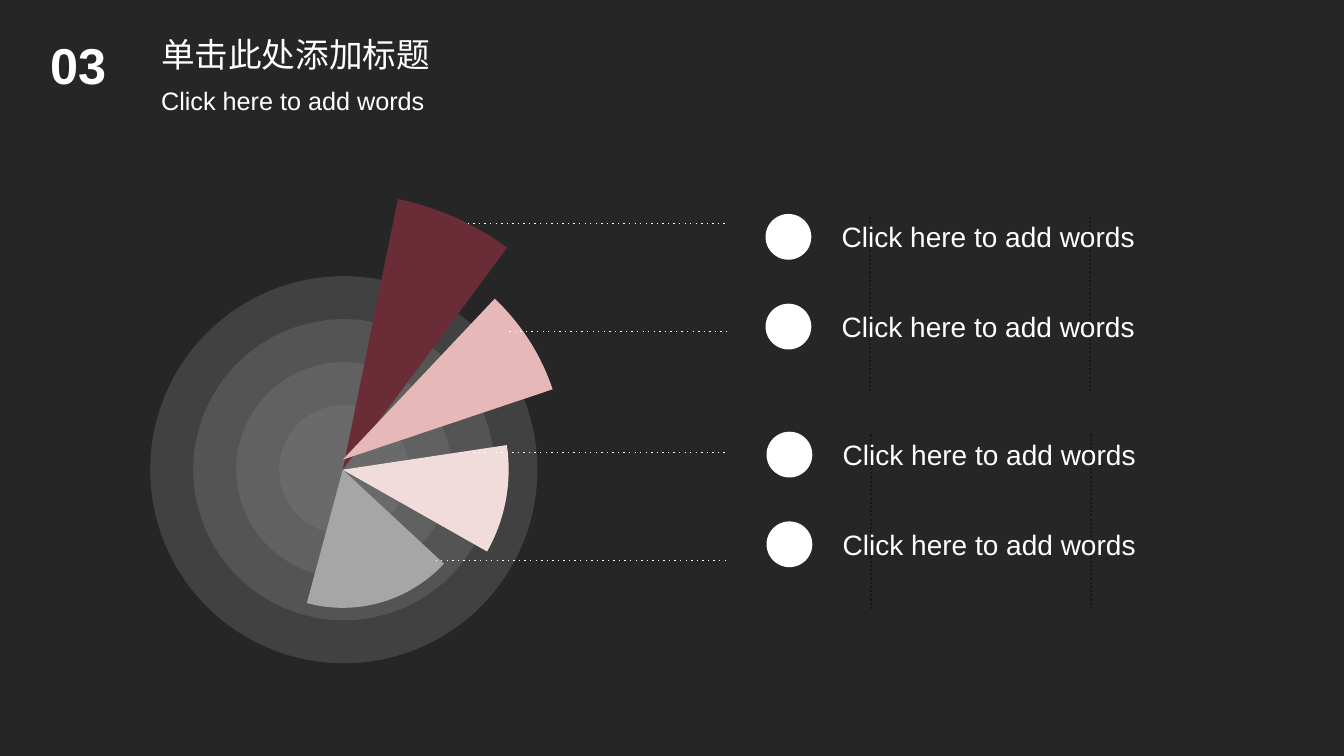
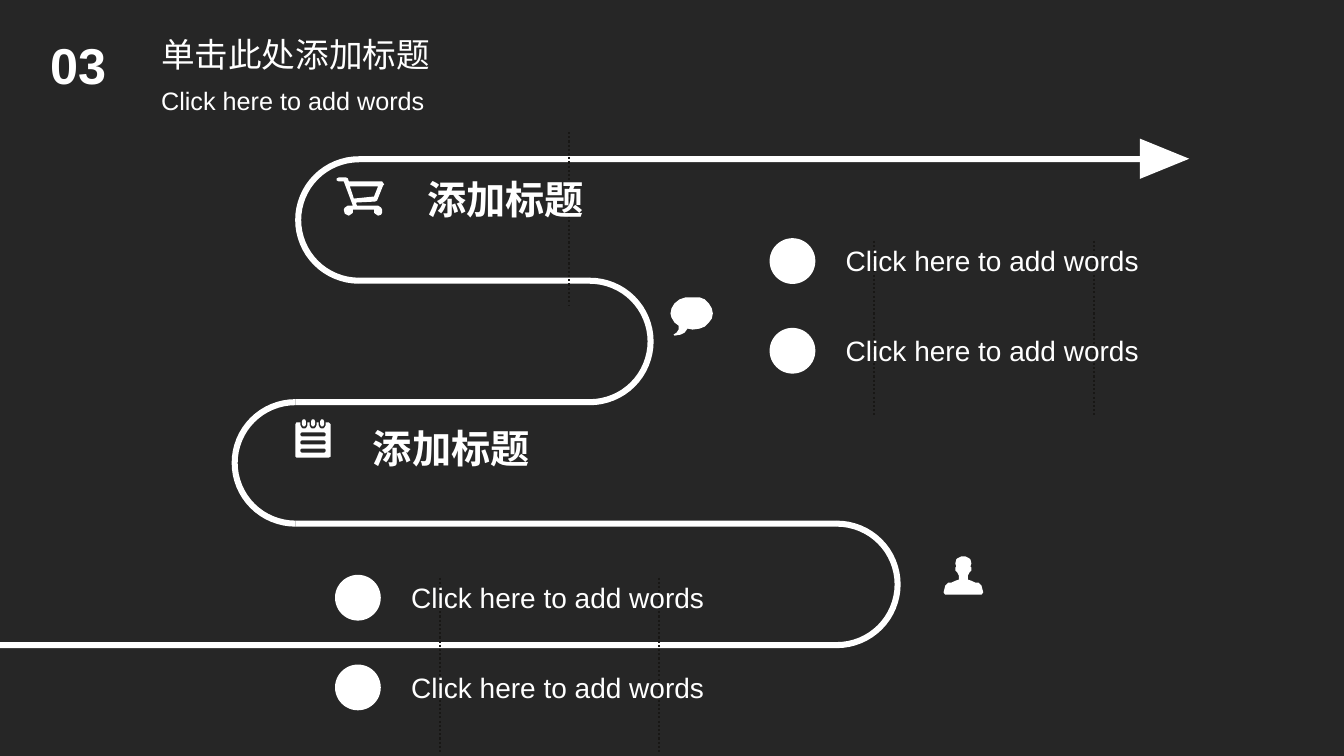
from dataclasses import dataclass
from itertools import pairwise
from math import cos, pi, sin

from pptx import Presentation
from pptx.dml.color import RGBColor
from pptx.enum.dml import MSO_LINE
from pptx.enum.shapes import MSO_CONNECTOR, MSO_SHAPE
from pptx.enum.text import MSO_AUTO_SIZE as AutoSize, PP_ALIGN as Align
from pptx.oxml.ns import qn
from pptx.oxml.xmlchemy import OxmlElement
from pptx.util import Inches, Pt


@dataclass(frozen=True)
class Theme:
    font: str = "Arial"
    back: str = "262626"
    white: str = "FFFFFF"
    guide: str = "181715"
    ring: str = "808080"
    wine: str = "6A2D38"
    rose: str = "E6B9B8"
    blush: str = "F2DCDB"
    silver: str = "A6A6A6"
    number: int = 36
    heading: int = 28
    title: int = 24
    item: int = 20
    subtitle: int = 18


THEME = Theme()
WORDS = "Click here to add words"


class Builder:
    """Holds the theme, the deck and the current page."""

    def __init__(self, theme):
        self.theme = theme
        self.deck = Presentation()
        self.deck.slide_width, self.deck.slide_height = Inches(13.33), Inches(7.5)
        self.page = None

    def new_page(self, number, title, subtitle):
        theme = self.theme
        self.page = self.deck.slides.add_slide(self.deck.slide_layouts[6])
        fill = self.page.background.fill
        fill.solid()
        fill.fore_color.rgb = RGBColor.from_string(theme.back)
        self.text(number, 0.4, 0.29, 0.94, 0.71, theme.number, bold=True)
        self.text(title, 1.5, 0.29, 3.33, 0.5, theme.title, align=Align.JUSTIFY)
        self.text(subtitle, 1.5, 0.8, 3.97, 0.4, theme.subtitle)

    def text(self, words, left, top, width, height, size, bold=False, align=None):
        box = self.page.shapes.add_textbox(*map(Inches, (left, top, width, height)))
        frame = box.text_frame
        frame.word_wrap = True
        frame.auto_size = AutoSize.SHAPE_TO_FIT_TEXT
        para = frame.paragraphs[0]
        para.alignment = align
        span = para.add_run()
        span.text = words
        span.font.name, span.font.size = self.theme.font, Pt(size)
        span.font.bold = bold
        span.font.color.rgb = RGBColor.from_string(self.theme.white)

    def paint(self, shape, color, opacity=None, outlined=False):
        shape.shadow.inherit = False
        shape.fill.solid()
        shape.fill.fore_color.rgb = RGBColor.from_string(color)
        if opacity is not None:
            alpha = OxmlElement("a:alpha")
            alpha.set("val", str(opacity * 1000))
            shape.element.spPr.find(".//" + qn("a:srgbClr")).append(alpha)
        if outlined:
            shape.line.color.rgb = RGBColor.from_string(color)
            shape.line.width = Pt(1)
        else:
            shape.line.fill.background()
        return shape

    def shape(self, preset, left, top, width, height, color, **style):
        box = map(Inches, (left, top, width, height))
        return self.paint(self.page.shapes.add_shape(preset, *box), color, **style)

    def disc(self, center_x, center_y, size, color, preset=MSO_SHAPE.OVAL, **style):
        left, top = center_x - size / 2, center_y - size / 2
        return self.shape(preset, left, top, size, size, color, **style)

    def sector(self, center_x, center_y, size, start, end, color):
        pie = self.disc(center_x, center_y, size, color, MSO_SHAPE.PIE)
        # Pie angles are stored in 60000ths of a degree, adjustments in 100000ths
        for index, angle in enumerate((start, end)):
            pie.adjustments[index] = angle * 0.6

    def line(self, x1, y1, x2, y2, color, width, dash):
        ends = map(Inches, (x1, y1, x2, y2))
        line = self.page.shapes.add_connector(MSO_CONNECTOR.STRAIGHT, *ends)
        line.line.color.rgb = RGBColor.from_string(color)
        line.line.width = Pt(width)
        line.line.dash_style = MSO_LINE.ROUND_DOT
        properties = line.element.spPr
        properties.find(".//" + qn("a:prstDash")).set("val", dash)
        properties.append(OxmlElement("a:effectLst"))

    def guide(self, x, top):
        self.line(x, top, x, top + 1.73, self.theme.guide, 1.5, "sysDot")

    def outline(self, contours, left=0, top=0, unit=1.0):
        """Fill closed contours; inner contours become holes."""
        builder = None
        for contour in contours:
            points = [(Inches(left + x * unit), Inches(top + y * unit)) for x, y in contour]
            if builder is None:
                builder = self.page.shapes.build_freeform(*points[0])
            else:
                builder.move_to(*points[0])
            builder.add_line_segments(points[1:], close=True)
        self.paint(builder.convert_to_shape(), self.theme.white)

    def bend(self, x, top, radius, thickness, side):
        """Half ring bulging right (side 1) or left (side -1)."""
        steps = 32
        angles = [pi * step / steps - pi / 2 for step in range(steps + 1)]
        rims = ((radius, angles), (radius - thickness, angles[::-1]))
        self.outline([[(x + side * rim * cos(angle), top + radius + rim * sin(angle))
                       for rim, sweep in rims for angle in sweep]])

    def bullets(self, left, top):
        """Two bulleted lines over a pair of dark guides."""
        for offset in (1.03, 3.21):
            self.guide(left + offset, top + 0.02)
        for row in range(2):
            y = top + row * 0.89
            self.text(WORDS, left + 0.65, y, 3.33, 0.44, self.theme.item)
            self.shape(MSO_SHAPE.OVAL, left, y, 0.44, 0.44, self.theme.white, outlined=True)


# Icon contours, in hundredths of an inch
CART = [
    [(13, 9), (17, 21), (37, 19), (41, 9)],
    [(2, 0), (9, 0), (11, 1), (12, 4), (45, 4), (47, 7), (46, 8), (40, 23), (38, 24),
     (19, 25), (20, 28), (41, 28), (44, 30), (45, 32), (45, 35), (44, 37), (41, 38),
     (38, 36), (37, 35), (37, 32), (16, 32), (16, 35), (15, 36), (12, 38), (8, 36),
     (7, 32), (8, 30), (11, 28), (16, 28), (7, 4), (2, 4), (0, 3), (0, 1)],
]
SPEECH = [
    [(22, 0), (29, 0), (34, 2), (38, 6), (41, 11), (42, 16), (41, 21), (38, 25), (34, 29),
     (29, 31), (22, 32), (17, 31), (14, 35), (10, 37), (4, 38), (3, 37), (6, 35), (8, 32),
     (8, 28), (4, 25), (1, 20), (0, 16), (1, 11), (4, 6), (9, 2), (15, 0)],
]


def notepad():
    notch = [(0, 3), (0, 6), (1, 8), (2, 9), (5, 9), (6, 8), (7, 6), (7, 3)]
    ring = [(2.5, 0), (4.5, 0), (5.5, 2), (5.5, 5), (4.5, 7), (2.5, 7), (1.5, 5), (1.5, 2)]
    slot = [(6, 0), (29, 0), (30, 1), (30, 3), (29, 4), (6, 4), (5, 3), (5, 1)]
    columns, rows = (5, 14, 23), (13, 21, 29)
    sheet = [(1, 3)] + [(x + column, y) for column in columns for x, y in notch]
    sheet += [(33, 3), (35, 5), (35, 37), (33, 38), (1, 38), (0, 37), (0, 5)]
    slots = [[(x, y + row) for x, y in slot] for row in rows]
    rings = [[(x + column, y) for x, y in ring] for column in columns]
    return [sheet, *slots, *rings]


def person():
    half = [(2, 0), (4, 1), (6, 2), (7, 3), (8, 7), (7, 10), (8, 11), (8, 14), (6, 16),
            (4.5, 19), (4.5, 23), (7.5, 24), (12, 26), (15, 26), (18, 29), (19.5, 35),
            (19.5, 36), (18, 38)]
    return [[(19.5 + x, y) for x, y in half] + [(19.5 - x, y) for x, y in half[::-1]]]


def fan_page(show):
    theme = show.theme
    show.new_page("03", "单击此处添加标题", WORDS)

    # Concentric translucent rings
    center_x, center_y = 3.41, 4.66
    for ring in range(4):
        show.disc(center_x, center_y, 3.84 - ring * 0.853, theme.ring, opacity=30)

    # Fan of sectors: centre y, diameter, start and end angle
    for y, size, start, end, color in (
        (4.66, 5.48, 281.52, 306.49, theme.wine),
        (4.56, 4.39, 313.35, 341.45, theme.rose),
        (4.66, 3.29, 351.45, 29.55, theme.blush),
        (4.66, 2.74, 42.89, 105.07, theme.silver),
    ):
        show.sector(3.4, y, size, start, end, color)

    # Dotted leaders
    for x, y in ((4.64, 2.22), (5.05, 3.29), (4.64, 4.49), (4.32, 5.56)):
        show.line(x, y, 7.22, y, theme.white, 1, "dot")

    show.bullets(7.6, 2.13)
    show.bullets(7.61, 4.29)


def road_page(show):
    theme = show.theme
    show.new_page("03", "单击此处添加标题", WORDS)

    # Winding road, from the bottom left up to the arrowhead
    thickness, pitch, bottom = 0.06, 1.205, 6.37
    turns = [8.3, 2.93, 5.85, 3.56]
    for level, ends in enumerate(pairwise([0, *turns, 11.37])):
        left, right = sorted(ends)
        y = bottom - level * pitch
        show.shape(MSO_SHAPE.RECTANGLE, left, y, right - left, thickness, theme.white)
        if level < len(turns):
            side = -1 if level % 2 else 1
            show.bend(turns[level], y - pitch, (pitch + thickness) / 2, thickness, side)
    head = show.shape(MSO_SHAPE.ISOSCELES_TRIANGLE, 11.35, 1.33, 0.4, 0.49, theme.white)
    head.rotation = 90

    # Icons
    for contours, left, top in ((CART, 3.34, 1.76), (SPEECH, 6.65, 2.95),
                                (notepad(), 2.93, 4.16), (person(), 9.36, 5.52)):
        show.outline(contours, left, top, unit=0.01)

    # Headings and lists
    show.guide(5.64, 1.31)
    for left, top in ((4.14, 1.69), (3.6, 4.16)):
        show.text("添加标题", left, top, 2.95, 0.57, theme.heading, bold=True)
    show.bullets(7.64, 2.37)
    show.bullets(3.33, 5.71)


def main():
    show = Builder(THEME)
    fan_page(show)
    road_page(show)
    show.deck.save("out.pptx")


if __name__ == "__main__":
    main()
